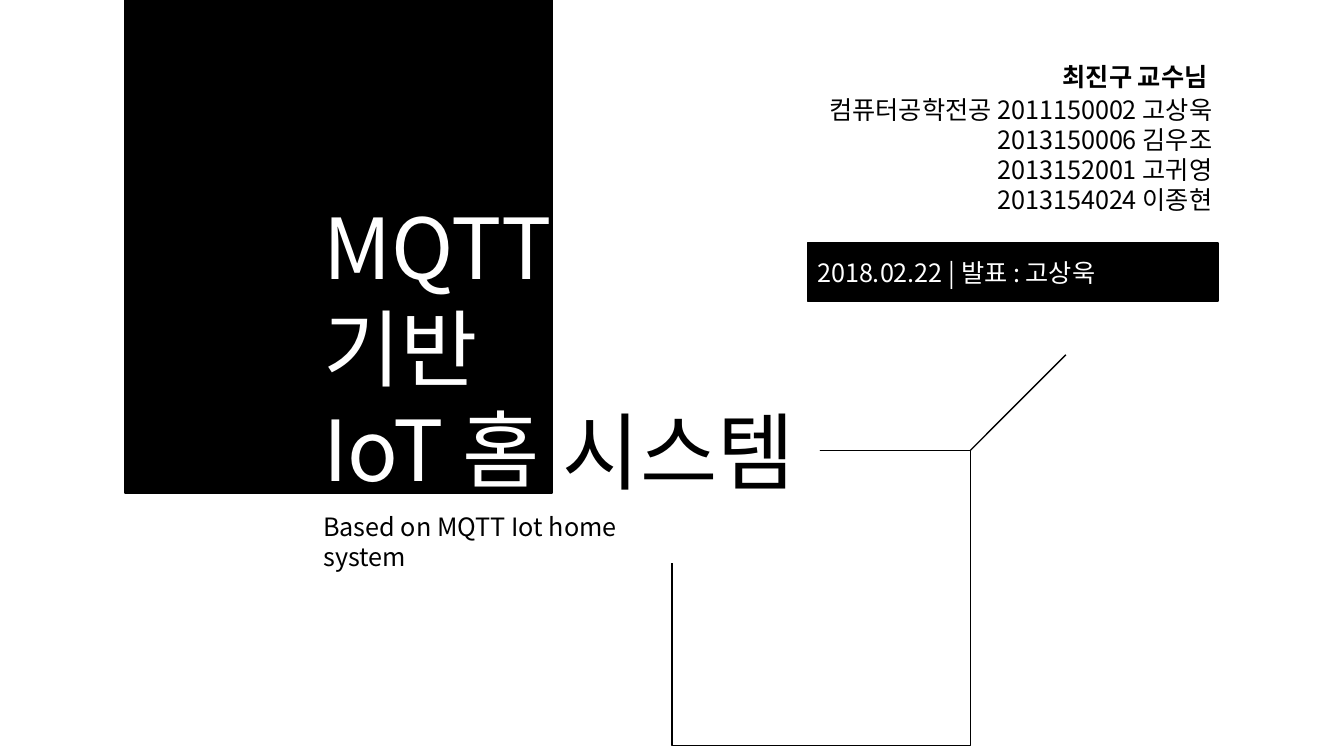
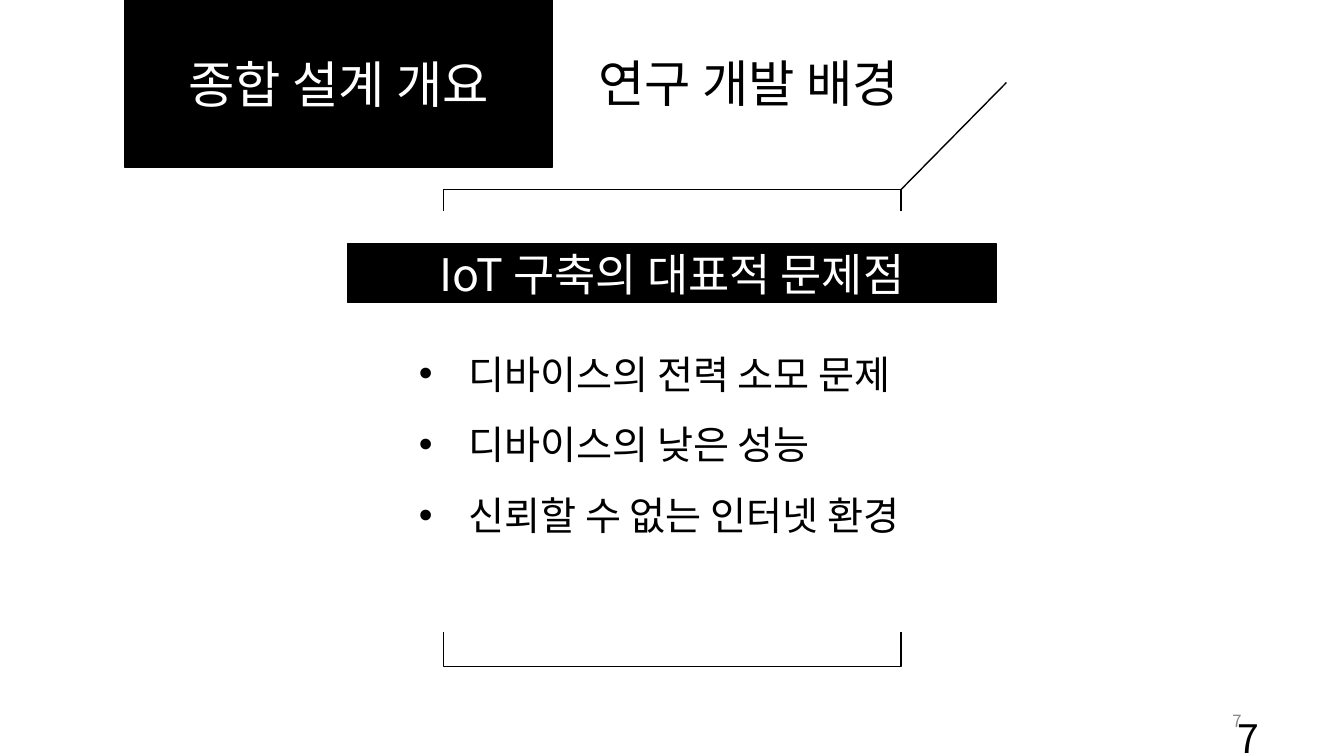
from lxml import etree
from pptx import Presentation
from pptx import util as u
from pptx.dml import color
from pptx.enum import shapes, text
from pptx.oxml import ns

FONT = "Noto Sans CJK KR"
BLACK, WHITE, GRAY = "000000", "FFFFFF", "898989"
LEFT, CENTER, RIGHT = text.PP_ALIGN.LEFT, text.PP_ALIGN.CENTER, text.PP_ALIGN.RIGHT
BAND_LEFT, BAND_WIDTH = 3.15, 10.77
BULLET_INDENT = 1.25


def rgb(value):
    return color.RGBColor.from_string(value)


def add_xml(parent, tag, **attributes):
    return etree.SubElement(parent, ns.qn(tag), attributes)


def write(shape, lines, size, ink, align=LEFT, bold=False):
    """Put one paragraph per line into the shape and format its runs."""
    frame = shape.text_frame
    frame.text = "\n".join(lines)
    for paragraph in frame.paragraphs:
        paragraph.alignment = align
        for run in paragraph.runs:
            run.font.size = u.Pt(size)
            run.font.bold = bold
            run.font.name = FONT
            run.font.color.rgb = rgb(ink)
            add_xml(run.font._element, "a:ea", typeface=FONT)


def add_box(slide, left, top, width, height, fill=WHITE, line=BLACK):
    box = slide.shapes.add_shape(
        shapes.MSO_SHAPE.RECTANGLE, u.Cm(left), u.Cm(top), u.Cm(width), u.Cm(height))
    box.shadow.inherit = False
    box.fill.solid()
    box.fill.fore_color.rgb = rgb(fill)
    box.line.color.rgb = rgb(line)
    box.line.width = u.Pt(1)
    return box


def add_banner(slide, left, top, width, height, label, size, align=CENTER):
    """Add a black box with white text."""
    banner = add_box(slide, left, top, width, height, fill=BLACK)
    banner.text_frame.vertical_anchor = text.MSO_ANCHOR.MIDDLE
    write(banner, [label], size, WHITE, align)


def add_text(slide, left, top, width, height, lines, size, ink=BLACK,
             align=LEFT, bold=False, wrap=True, anchor=text.MSO_ANCHOR.TOP):
    box = slide.shapes.add_textbox(u.Cm(left), u.Cm(top), u.Cm(width), u.Cm(height))
    box.text_frame.word_wrap = wrap
    box.text_frame.vertical_anchor = anchor
    write(box, lines, size, ink, align, bold)
    return box


def add_bullets(slide, left, top, width, height, items, size):
    box = add_text(slide, left, top, width, height, items, size)
    for paragraph in box.text_frame.paragraphs:
        paragraph.line_spacing = 1.5
        properties = paragraph._p.get_or_add_pPr()
        properties.set("marL", str(u.Cm(BULLET_INDENT)))
        properties.set("indent", str(-u.Cm(BULLET_INDENT)))
        add_xml(add_xml(properties, "a:buClr"), "a:srgbClr", val=BLACK)
        add_xml(properties, "a:buFont", typeface="Arial")
        add_xml(properties, "a:buChar", char="•")


def add_line(slide, x1, y1, x2, y2):
    line = slide.shapes.add_connector(
        shapes.MSO_CONNECTOR.STRAIGHT, u.Cm(x1), u.Cm(y1), u.Cm(x2), u.Cm(y2))
    line.line.color.rgb = rgb(BLACK)
    line.line.width = u.Pt(1)
    add_xml(line._element.spPr, "a:effectLst")


def build_cover(slide):
    add_box(slide, 16.94, 11.35, 7.52, 7.44)
    add_box(slide, 16.76, 11.35, 3.89, 2.82, line=WHITE)
    add_box(slide, BAND_LEFT, 0, BAND_WIDTH, 12.42, fill=BLACK)
    add_text(slide, 7.9, 4.8, 6.48, 7.87, ["MQTT", "기반", "IoT 홈"], 60, WHITE)
    add_text(slide, 13.94, 9.93, 6.68, 2.79, ["시스템"], 60)
    add_banner(slide, 20.35, 6.12, 10.36, 1.47, "2018.02.22 | 발표 : 고상욱", 18, LEFT)
    members = ["컴퓨터공학전공 2011150002 고상욱", "2013150006 김우조",
               "2013152001 고귀영", "2013154024 이종현"]
    add_text(slide, 20.32, 2.24, 10.49, 3.3, members, 18, align=RIGHT, wrap=False)
    add_text(slide, 7.9, 12.75, 9.98, 1.02, ["Based on MQTT Iot home system"], 18)
    add_line(slide, 24.46, 11.35, 26.87, 8.94)
    add_text(slide, 26.54, 1.42, 4.27, 1.02, ["최진구 교수님"], 18, bold=True, wrap=False)


def build_background(slide):
    add_box(slide, 11.18, 4.78, 11.53, 12.01)
    add_box(slide, 8.23, 5.33, 19.86, 10.57, line=WHITE)
    add_banner(slide, BAND_LEFT, 0, BAND_WIDTH, 4.22, "종합 설계 개요", 36)
    add_text(slide, 14.83, 1.19, 8.59, 1.8, ["연구 개발 배경"], 36)
    problems = ["디바이스의 전력 소모 문제", "디바이스의 낮은 성능", "신뢰할 수 없는 인터넷 환경"]
    add_bullets(slide, 10.31, 8.1, 13.36, 5.59, problems, 28)
    add_banner(slide, 8.76, 6.15, 16.36, 1.47, "IoT 구축의 대표적 문제점", 32)
    add_line(slide, 22.71, 4.78, 25.37, 2.08)
    for left, top, size, ink in ((23.93, 17.65, 12, GRAY), (24.36, 18.08, 28, BLACK)):
        add_text(slide, left, top, 7.62, 1.02, ["7"], size, ink, RIGHT,
                 anchor=text.MSO_ANCHOR.MIDDLE)


def main():
    presentation = Presentation()
    presentation.slide_width = u.Cm(33.88)
    presentation.slide_height = u.Cm(19.05)
    blank = presentation.slide_layouts[6]
    for build in (build_cover, build_background):
        build(presentation.slides.add_slide(blank))
    presentation.save("out.pptx")


if __name__ == "__main__":
    main()
